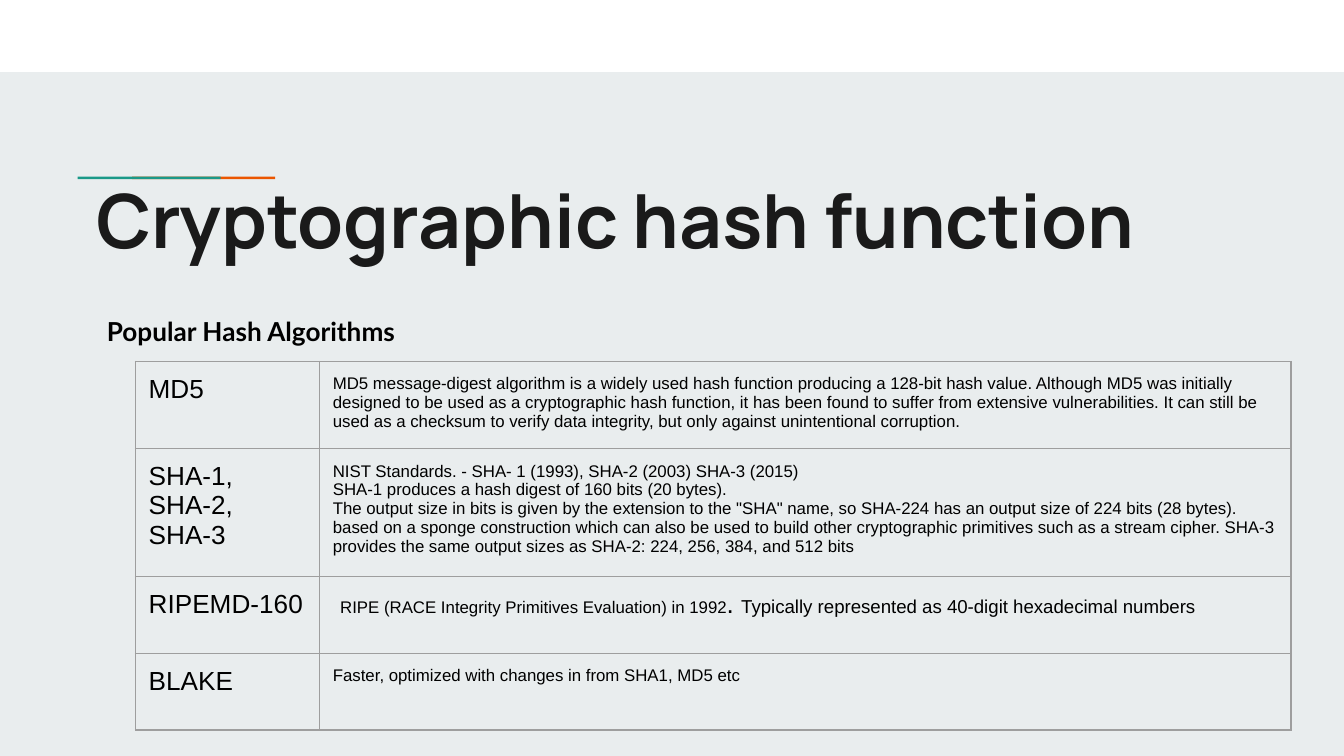
from lxml import etree
from pptx import Presentation
from pptx.dml.color import RGBColor
from pptx.enum.shapes import MSO_SHAPE
from pptx.enum.text import MSO_ANCHOR, MSO_AUTO_SIZE, PP_ALIGN
from pptx.oxml.ns import qn
from pptx.util import Cm, Pt

RECTANGLE = MSO_SHAPE.RECTANGLE
TOP = MSO_ANCHOR.TOP
LEFT = PP_ALIGN.LEFT
NO_AUTOFIT = MSO_AUTO_SIZE.NONE

COLORS = {
    "background": "E9EDEE",
    "band": "FFFFFF",
    "teal": "1A9988",
    "orange": "EB5600",
    "title": "1A1A1A",
    "text": "000000",
    "border": "9E9E9E",
}
PADDING = Cm(0.25)


def set_font(font, name, size, color, bold=False):
    font.name = name
    font.size = Pt(size)
    font.bold = bold
    font.color.rgb = RGBColor.from_string(COLORS[color])


def draw_borders(cell):
    properties = cell._tc.get_or_add_tcPr()
    for position, side in enumerate(("a:lnL", "a:lnR", "a:lnT", "a:lnB")):
        line = etree.Element(qn(side), w=str(Pt(0.75)))
        fill = etree.SubElement(line, qn("a:solidFill"))
        etree.SubElement(fill, qn("a:srgbClr"), val=COLORS["border"])
        properties.insert(position, line)


deck = Presentation()
deck.slide_width, deck.slide_height = Cm(25.4), Cm(14.29)
page = deck.slides.add_slide(deck.slide_layouts[0])
page.background.fill.solid()
page.background.fill.fore_color.rgb = RGBColor.from_string(COLORS["background"])

# Top band and accent line, whose teal bar overlaps the orange one
for color, left, top, width, height in (
    ("orange", 2.5, 3.34, 2.7, 0.05),
    ("teal", 1.47, 3.34, 2.7, 0.05),
    ("band", 0, 0, 25.4, 1.36),
):
    bar = page.shapes.add_shape(RECTANGLE, Cm(left), Cm(top), Cm(width), Cm(height))
    bar.shadow.inherit = False
    bar.fill.solid()
    bar.fill.fore_color.rgb = RGBColor.from_string(COLORS[color])
    bar.line.fill.background()

# Title and subtitle
title, subtitle = page.placeholders
for box, text, place, spacing, font in (
    (title, "Cryptographic hash function", (1.57, 3.2, 23.83, 2.36), 0.92,
     ("Manrope", 40, "title", True)),
    (subtitle, "Popular Hash Algorithms", (1.77, 5.72, 12.19, 1.12), 1.0,
     ("Lato", 14, "text", True)),
):
    box.left, box.top, box.width, box.height = map(Cm, place)
    frame = box.text_frame
    frame.text = text
    frame.word_wrap = True
    frame.auto_size = NO_AUTOFIT
    frame.vertical_anchor = TOP
    frame.margin_left = frame.margin_right = PADDING
    frame.margin_top = frame.margin_bottom = PADDING
    para = frame.paragraphs[0]
    para.alignment = LEFT
    para.space_before = Pt(0)
    para.line_spacing = spacing
    set_font(para.font, *font)

# Table: each description is a list of paragraphs, each a list of (text, size)
algorithms = [
    ("MD5", 1.65, [
        [("MD5 message-digest algorithm is a widely used hash function producing a "
          "128-bit hash value. Although MD5 was initially designed to be used as a "
          "cryptographic hash function, it has been found to suffer from extensive "
          "vulnerabilities. It can still be used as a checksum to verify data "
          "integrity, but only against unintentional corruption.", 9)],
    ]),
    ("SHA-1, SHA-2, SHA-3", 2.42, [
        [("NIST Standards. - SHA- 1 (1993), SHA-2 (2003) SHA-3 (2015)", 9)],
        [("SHA-1 produces a hash digest of 160 bits (20 bytes).", 9)],
        [('The output size in bits is given by the extension to the "SHA" name, '
          "so SHA-224 has an output size of 224 bits (28 bytes).", 9)],
        [("based on a sponge construction which can also be used to build other "
          "cryptographic primitives such as a stream cipher. SHA-3 provides the same "
          "output sizes as SHA-2: 224, 256, 384, and 512 bits", 9)],
    ]),
    ("RIPEMD-160", 1.45, [
        [(" ", 14), ("RIPE (RACE Integrity Primitives Evaluation) in 1992", 9),
         (". ", 14), ("Typically represented as 40-digit hexadecimal numbers", 10)],
    ]),
    ("BLAKE", 1.45, [
        [("Faster, optimized with changes in from SHA1, MD5 etc", 9)],
    ]),
]
column_widths = (3.48, 18.36)
table = page.shapes.add_table(
    len(algorithms), len(column_widths), Cm(2.56), Cm(6.83),
    Cm(sum(column_widths)), Cm(sum(height for _, height, _ in algorithms)),
).table
table.first_row = table.horz_banding = False
for column, width in zip(table.columns, column_widths):
    column.width = Cm(width)

for row, (name, height, description) in zip(table.rows, algorithms):
    row.height = Cm(height)
    for cell, paragraphs in zip(row.cells, ([[(name, 14)]], description)):
        cell.fill.background()
        cell.margin_left = cell.margin_right = PADDING
        cell.margin_top = cell.margin_bottom = PADDING
        draw_borders(cell)
        frame = cell.text_frame
        for number, pieces in enumerate(paragraphs):
            para = frame.add_paragraph() if number else frame.paragraphs[0]
            set_font(para.font, "Arial", pieces[0][1], "text")
            for text, size in pieces:
                span = para.add_run()
                span.text = text
                set_font(span.font, "Arial", size, "text")

deck.save("out.pptx")
